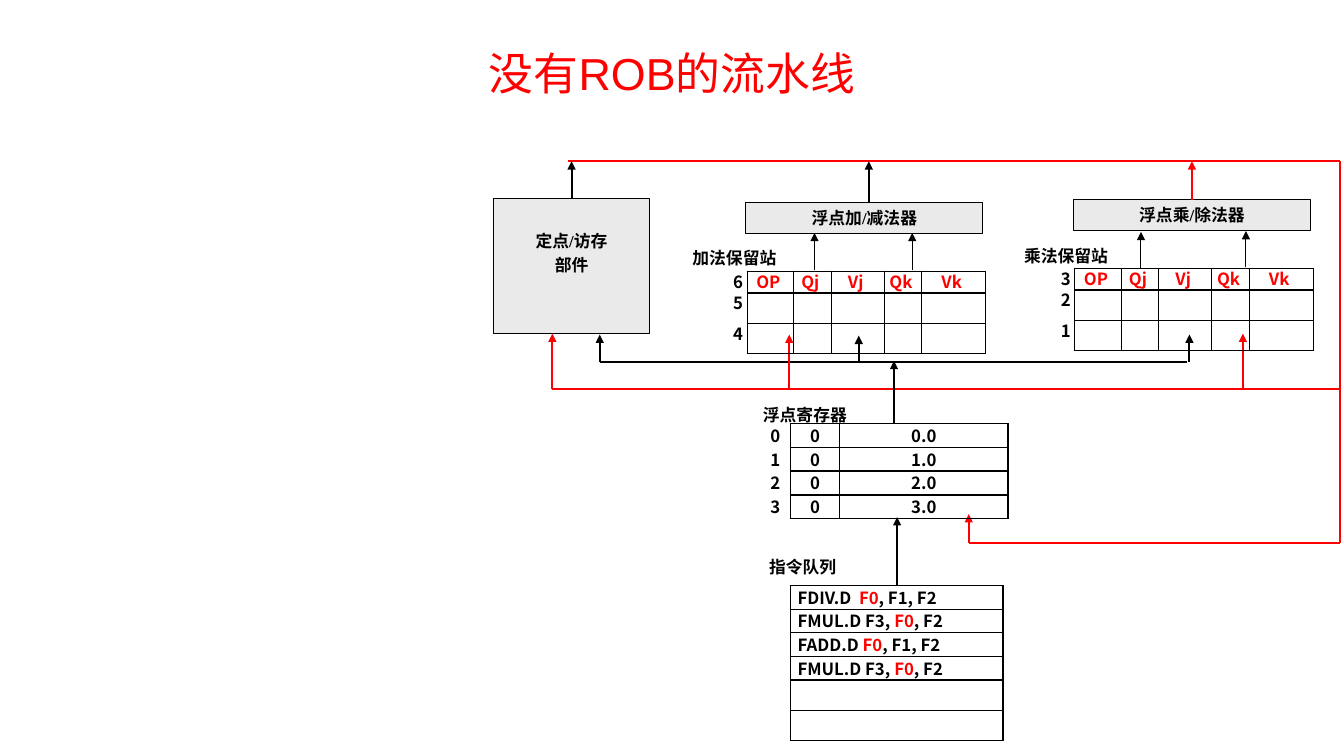
from dataclasses import dataclass
from itertools import accumulate

from lxml.etree import SubElement
from pptx import Presentation
from pptx.dml.color import RGBColor
from pptx.enum.shapes import MSO_CONNECTOR, MSO_SHAPE
from pptx.enum.text import MSO_ANCHOR, PP_ALIGN
from pptx.oxml.ns import qn
from pptx.util import Pt


@dataclass(frozen=True)
class Theme:
    black: str = "000000"
    red: str = "FF0000"
    gray: str = "EAEAEA"
    title: int = 32
    body: int = 12
    thin: float = 0.75
    grid: float = 1
    thick: float = 1.5
    head: str = "Arial"
    label: str = "Times New Roman"
    cell: str = "Noto Sans CJK SC"


class Board:
    def __init__(self, slide, theme):
        self.shapes = slide.shapes
        self.theme = theme

    def style(self, run, font, color, size, bold=True):
        run.font.name, run.font.size, run.font.bold = font, Pt(size), bold
        run.font.color.rgb = RGBColor.from_string(color)
        east = SubElement(run.font._element, qn("a:ea"))
        east.set("typeface", self.theme.cell)

    def fill_text(self, shape, text, align, inset=0):
        """Write label text in a shape; a top inset pins it to the top."""
        frame = shape.text_frame
        frame.word_wrap = True
        frame.margin_left = frame.margin_right = frame.margin_bottom = 0
        frame.margin_top = Pt(inset)
        frame.vertical_anchor = MSO_ANCHOR.TOP if inset else MSO_ANCHOR.MIDDLE
        frame.text = text
        for n, para in enumerate(frame.paragraphs):
            para.alignment = align
            if n:
                para.space_before = Pt(2.6)
            for run in para.runs:
                self.style(run, self.theme.label, self.theme.black, self.theme.body)

    def title(self, text, x, y, w, h):
        box = self.shapes.add_textbox(Pt(x), Pt(y), Pt(w), Pt(h))
        self.fill_text(box, text, PP_ALIGN.CENTER)
        run = box.text_frame.paragraphs[0].runs[0]
        run.font.name, run.font.size, run.font.bold = self.theme.head, Pt(self.theme.title), False
        run.font.color.rgb = RGBColor.from_string(self.theme.red)

    def label(self, text, x, y, w):
        box = self.shapes.add_textbox(Pt(x), Pt(y), Pt(w), Pt(14.4))
        self.fill_text(box, text, PP_ALIGN.LEFT)

    def unit(self, text, x, y, w, h, inset=0):
        box = self.shapes.add_shape(MSO_SHAPE.RECTANGLE, Pt(x), Pt(y), Pt(w), Pt(h))
        box.shadow.inherit = False
        box.fill.solid()
        box.fill.fore_color.rgb = RGBColor.from_string(self.theme.gray)
        box.line.color.rgb = RGBColor.from_string(self.theme.black)
        box.line.width = Pt(self.theme.thin)
        self.fill_text(box, text, PP_ALIGN.CENTER, inset)
        return box

    def line(self, x1, y1, x2, y2, color, width):
        link = self.shapes.add_connector(
            MSO_CONNECTOR.STRAIGHT, Pt(x1), Pt(y1), Pt(x2), Pt(y2))
        link.line.color.rgb = RGBColor.from_string(color)
        link.line.width = Pt(width)
        SubElement(link._element.spPr, qn("a:effectLst"))
        return link

    def arrow(self, x, low, high, color, width):
        link = self.line(x, low, x, high, color, width)
        SubElement(link.line._get_or_add_ln(), qn("a:tailEnd")).set("type", "triangle")
        return link

    def edges(self, cell, sides):
        props = cell._tc.get_or_add_tcPr()
        for side in "LRTB":
            edge = SubElement(props, qn("a:ln" + side), w=str(Pt(self.theme.grid)))
            if side in sides:
                fill = SubElement(edge, qn("a:solidFill"))
                SubElement(fill, qn("a:srgbClr")).set("val", self.theme.black)
            else:
                SubElement(edge, qn("a:noFill"))

    def table(self, x, y, cols, high, rows, aligns, pad, index=True):
        """Draw rows of cells; a cell is a list of (text, color) runs.

        With index set, the first column shows only its right edge.
        """
        frame = self.shapes.add_table(
            len(rows), len(cols), Pt(x), Pt(y), Pt(sum(cols)), Pt(high * len(rows)))
        grid = frame.table
        grid.first_row = grid.horz_banding = False
        for col, width in zip(grid.columns, cols):
            col.width = Pt(width)
        for r, row in enumerate(rows):
            grid.rows[r].height = Pt(high)
            for c, parts in enumerate(row):
                cell = grid.cell(r, c)
                self.edges(cell, "R" if index and c == 0 else "LRTB")
                cell.fill.background()
                cell.margin_left, cell.margin_right = Pt(pad[0]), Pt(pad[1])
                cell.margin_top = cell.margin_bottom = 0
                para = cell.text_frame.paragraphs[0]
                para.alignment = aligns[c]
                para.line_spacing = Pt(high)
                for text, color in parts:
                    run = para.add_run()
                    run.text = text
                    self.style(run, self.theme.cell, color, self.theme.body)


def main():
    deck = Presentation()
    deck.slide_width, deck.slide_height = Pt(960), Pt(540)
    theme = Theme()
    board = Board(deck.slides.add_slide(deck.slide_layouts[6]), theme)
    black, red, thin, thick = theme.black, theme.red, theme.thin, theme.thick
    left, mid, right = PP_ALIGN.LEFT, PP_ALIGN.CENTER, PP_ALIGN.RIGHT

    board.title("没有ROB的流水线", 72, 6.5, 816, 90)

    # Result bus in red, operand bus in black
    top, feed, back, low, edge = 115.2, 258.5, 278, 388, 957
    for x1, y1, x2, y2, color in (
        (406, top, edge, top, red),
        (edge, top, edge, low, red),
        (692, low, edge, low, red),
        (394.6, back, edge, back, red),
        (428.4, feed, 848.2, feed, black),
    ):
        board.line(x1, y1, x2, y2, color, thick)

    for x, start, end, color, width in (
        (581.8, 193, 166.3, black, thin),
        (651.6, 193, 166.3, black, thin),
        (815, 192, 165.6, black, thin),
        (890, 191, 165, black, thin),
        (640.8, 418.3, 369.4, black, thick),
        (638.6, 303, 257.8, black, thick),
        (620.6, 144.7, top, black, thick),
        (428.4, feed, 239, black, thick),
        (613.4, feed, 239.8, black, thick),
        (849.6, feed, 239, black, thick),
        (394.6, back, 238.3, red, thick),
        (563.8, back, 239, red, thick),
        (887.8, back, 238.3, red, thick),
        (692, low, 367.2, red, thick),
    ):
        board.arrow(x, start, end, color, width)

    board.unit("浮点加/减法器", 532.8, 144.7, 169.2, 22.3)
    for text, x, y, w, h, inset, color in (
        ("定点/访存\n部件", 352.8, 141.8, 111, 96.5, 23, black),
        ("浮点乘/除法器", 766.8, 142.6, 169.2, 22.3, 0, red),
    ):
        box = board.unit(text, x, y, w, h, inset)
        board.arrow(x + w / 2, y, top, color, thick).begin_connect(box, 0)

    for text, x, y, w in (
        ("加法保留站", 494.6, 177.1, 82),
        ("浮点寄存器", 545, 289.4, 86),
        ("乘法保留站", 731.5, 175.7, 82),
        ("指令队列", 549.4, 397.4, 81),
    ):
        board.label(text, x, y, w)

    regs = [[[(str(n), black)], [("0", black)], [(f"{n}.0", black)]] for n in range(4)]
    board.table(535.7, 302.4, (28.8, 35.3, 120.2), 17, regs, (right, mid, mid), (7.2, 7.2))

    queue = [("FDIV.D  ", ", F1, F2"), ("FMUL.D F3, ", ", F2"),
             ("FADD.D ", ", F1, F2"), ("FMUL.D F3, ", ", F2")]
    code = [[[(head, black), ("F0", red), (tail, black)]] for head, tail in queue]
    board.table(564.5, 418.3, (151.9,), 16.8, code + [[[]], [[]]], (left,), (5.2, 5.2), False)

    names = [[(name, red)] for name in ("OP", "Qj", "Vj", "Qk", "Vk")]
    for x, y, first in ((751.7, 191.5, 3), (517.7, 193.7, 6)):
        ids = [[(str(n), black)] for n in accumulate((first, -1, -1))]
        rows = [[ids[0], *names]] + [[n] + [[]] * 5 for n in ids[1:]]
        board.table(x, y, (16, 33.2, 26.8, 38, 26.8, 45.6), 15.6, rows,
                    (right,) + (mid,) * 5, (0, 2.9))

    deck.save("out.pptx")


if __name__ == "__main__":
    main()
